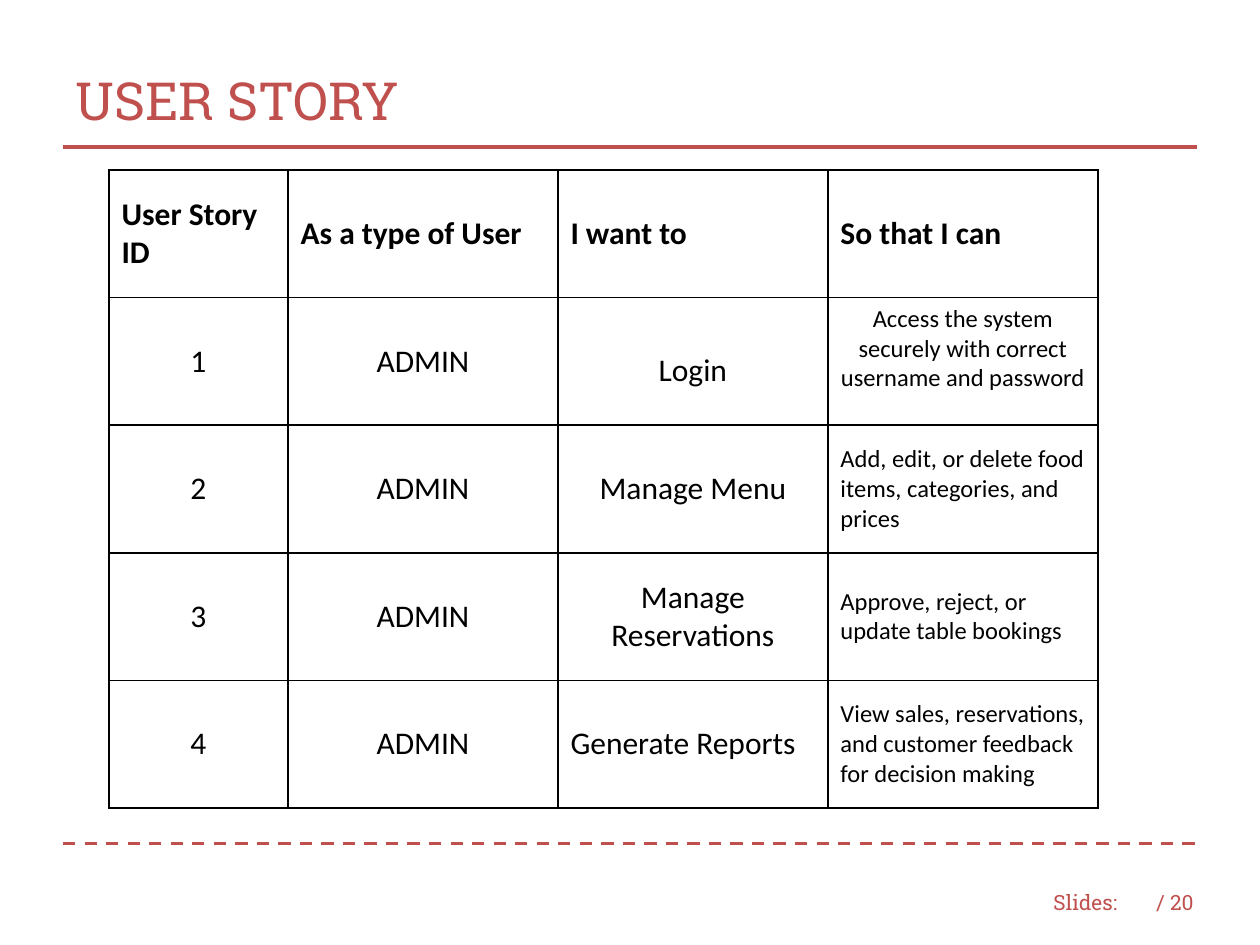
from dataclasses import dataclass

from pptx import Presentation
from pptx.dml.color import RGBColor
from pptx.enum.dml import MSO_LINE
from pptx.enum.shapes import MSO_CONNECTOR
from pptx.enum.text import MSO_ANCHOR, PP_ALIGN
from pptx.oxml.ns import qn
from pptx.slide import Slide
from pptx.table import _Cell
from pptx.text.text import TextFrame
from pptx.util import Emu, Pt
from lxml import etree

LEFT, CENTER = PP_ALIGN.LEFT, PP_ALIGN.CENTER
TOP, MIDDLE = MSO_ANCHOR.TOP, MSO_ANCHOR.MIDDLE
STRAIGHT, DASH = MSO_CONNECTOR.STRAIGHT, MSO_LINE.DASH
PX_PER_INCH = 126
BLANK_LAYOUT = 6


@dataclass(frozen=True)
class Theme:
    accent: str = "C0504D"
    ink: str = "000000"
    heading_font: str = "Roboto Slab"
    table_font: str = "Calibri"
    title_size: int = 30
    footer_size: int = 12
    cell_size: int = 18
    benefit_size: int = 14
    rule_width: float = 1.75
    border_width: int = 1


THEME = Theme()


@dataclass(frozen=True)
class Style:
    font: str
    size: int
    color: str
    bold: bool = False


TITLE = Style(THEME.heading_font, THEME.title_size, THEME.accent)
FOOTER = Style(THEME.heading_font, THEME.footer_size, THEME.accent)
HEADER = Style(THEME.table_font, THEME.cell_size, THEME.ink, bold=True)
BODY = Style(THEME.table_font, THEME.cell_size, THEME.ink)
BENEFIT = Style(THEME.table_font, THEME.benefit_size, THEME.ink)


@dataclass(frozen=True)
class Label:
    text: str
    left: int
    top: int
    width: int
    height: int
    style: Style


@dataclass(frozen=True)
class Rule:
    y: int
    dashed: bool


@dataclass(frozen=True)
class Entry:
    text: str
    style: Style = BODY
    align: PP_ALIGN = CENTER
    anchor: MSO_ANCHOR = MIDDLE
    line_spacing: float = 1.0


@dataclass(frozen=True)
class Story:
    goal: Entry
    benefit: Entry


LABELS = [
    Label("USER STORY", 63, 42, 1134, 115, TITLE),
    Label("Slides:", 1041, 877, 95, 50, FOOTER),
    Label("/ 20", 1144, 877, 73, 50, FOOTER),
]
RULES = [Rule(844, dashed=True), Rule(147, dashed=False)]
RULE_LEFT, RULE_RIGHT = 63, 1197

TABLE_LEFT, TABLE_TOP, TABLE_HEIGHT = 109, 170, 638
COLUMN_WIDTHS = [179, 270, 270, 270]
HEADINGS = ["User Story ID", "As a type of User", "I want to", "So that I can"]
USER_TYPE = "ADMIN"
STORIES = [
    Story(Entry("Login", line_spacing=1.5),
          Entry("Access the system securely with correct username and password",
                BENEFIT, anchor=TOP)),
    Story(Entry("Manage Menu"),
          Entry("Add, edit, or delete food items, categories, and prices",
                BENEFIT, LEFT)),
    Story(Entry("Manage Reservations"),
          Entry("Approve, reject, or update table bookings", BENEFIT, LEFT)),
    Story(Entry("Generate Reports", align=LEFT),
          Entry("View sales, reservations, and customer feedback for decision making",
                BENEFIT, LEFT)),
]


def px(length: int) -> Emu:
    return Emu(round(length * 914400 / PX_PER_INCH))


def write(frame: TextFrame, text: str, style: Style, align: PP_ALIGN = LEFT,
          line_spacing: float = 1.0) -> None:
    paragraph = frame.paragraphs[0]
    paragraph.alignment = align
    paragraph.line_spacing = line_spacing
    run = paragraph.add_run()
    run.text = text
    run.font.name = style.font
    run.font.size = Pt(style.size)
    run.font.bold = style.bold
    run.font.color.rgb = RGBColor.from_string(style.color)


def draw_label(slide: Slide, label: Label) -> None:
    box = slide.shapes.add_textbox(px(label.left), px(label.top),
                                   px(label.width), px(label.height))
    box.text_frame.word_wrap = True
    box.text_frame.vertical_anchor = MIDDLE
    write(box.text_frame, label.text, label.style)


def draw_rule(slide: Slide, rule: Rule) -> None:
    connector = slide.shapes.add_connector(
        STRAIGHT, px(RULE_LEFT), px(rule.y), px(RULE_RIGHT), px(rule.y))
    connector.line.color.rgb = RGBColor.from_string(THEME.accent)
    connector.line.width = Pt(THEME.rule_width)
    if rule.dashed:
        connector.line.dash_style = DASH
    etree.SubElement(connector._element.spPr, qn("a:effectLst"))


def add_borders(cell: _Cell) -> None:
    properties = cell._tc.get_or_add_tcPr()
    for side in ("a:lnL", "a:lnR", "a:lnT", "a:lnB"):
        border = etree.SubElement(properties, qn(side),
                                  w=str(Pt(THEME.border_width)))
        fill = etree.SubElement(border, qn("a:solidFill"))
        etree.SubElement(fill, qn("a:srgbClr"), val=THEME.ink)


def fill_cell(cell: _Cell, entry: Entry) -> None:
    add_borders(cell)
    cell.fill.background()
    cell.vertical_anchor = entry.anchor
    write(cell.text_frame, entry.text, entry.style, entry.align,
          entry.line_spacing)


def draw_story_table(slide: Slide) -> None:
    rows = [[Entry(heading, HEADER, LEFT) for heading in HEADINGS]]
    for number, story in enumerate(STORIES, start=1):
        rows.append([Entry(str(number)), Entry(USER_TYPE),
                     story.goal, story.benefit])
    table = slide.shapes.add_table(
        len(rows), len(HEADINGS), px(TABLE_LEFT), px(TABLE_TOP),
        px(sum(COLUMN_WIDTHS)), px(TABLE_HEIGHT)).table
    table.first_row = False
    table.horz_banding = False
    for column, width in zip(table.columns, COLUMN_WIDTHS):
        column.width = px(width)
    for row, entries in zip(table.rows, rows):
        for cell, entry in zip(row.cells, entries):
            fill_cell(cell, entry)


def main() -> None:
    presentation = Presentation()
    presentation.slide_width, presentation.slide_height = px(1260), px(945)
    slide = presentation.slides.add_slide(
        presentation.slide_layouts[BLANK_LAYOUT])
    for rule in RULES:
        draw_rule(slide, rule)
    for label in LABELS:
        draw_label(slide, label)
    draw_story_table(slide)
    presentation.save("out.pptx")


if __name__ == "__main__":
    main()
